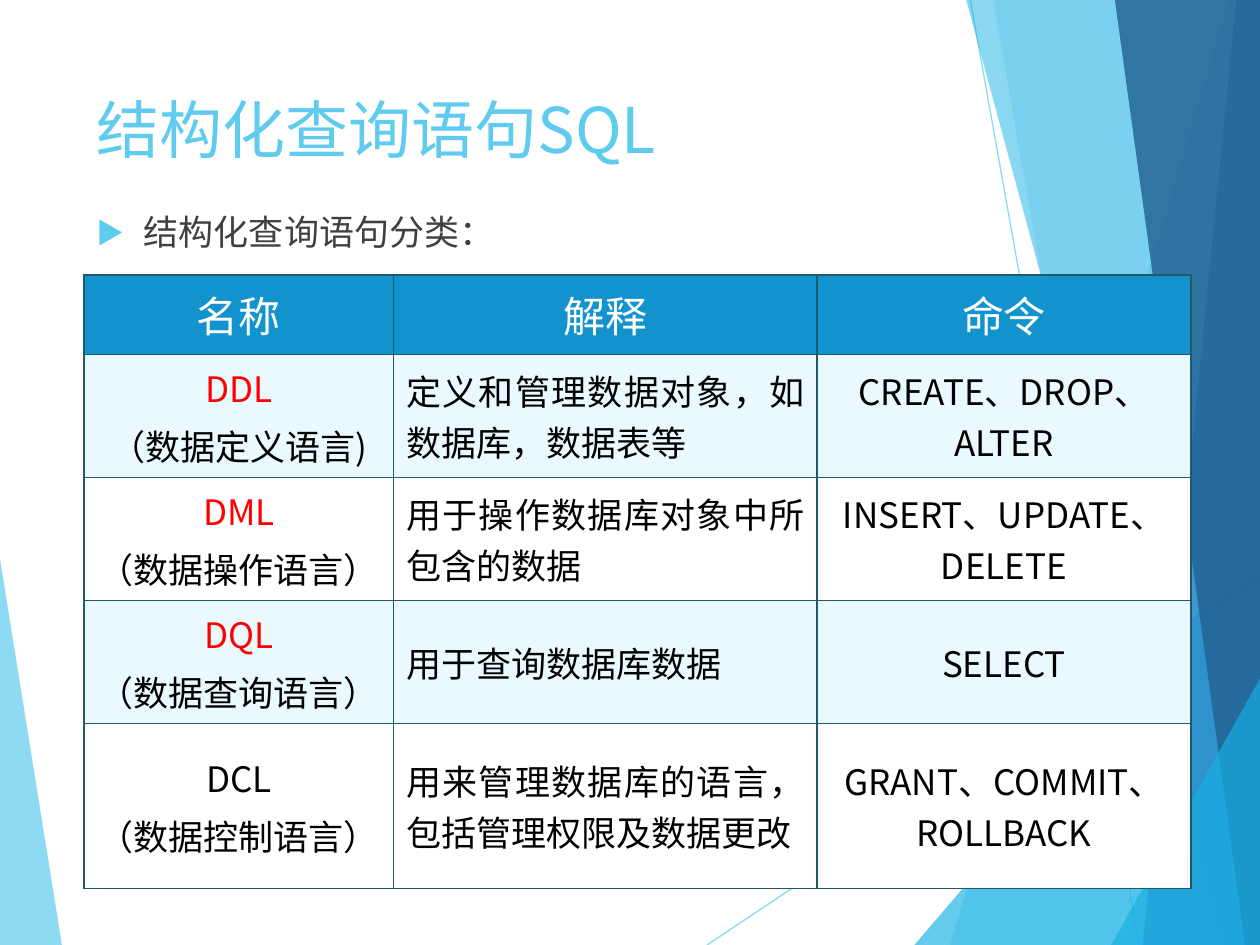
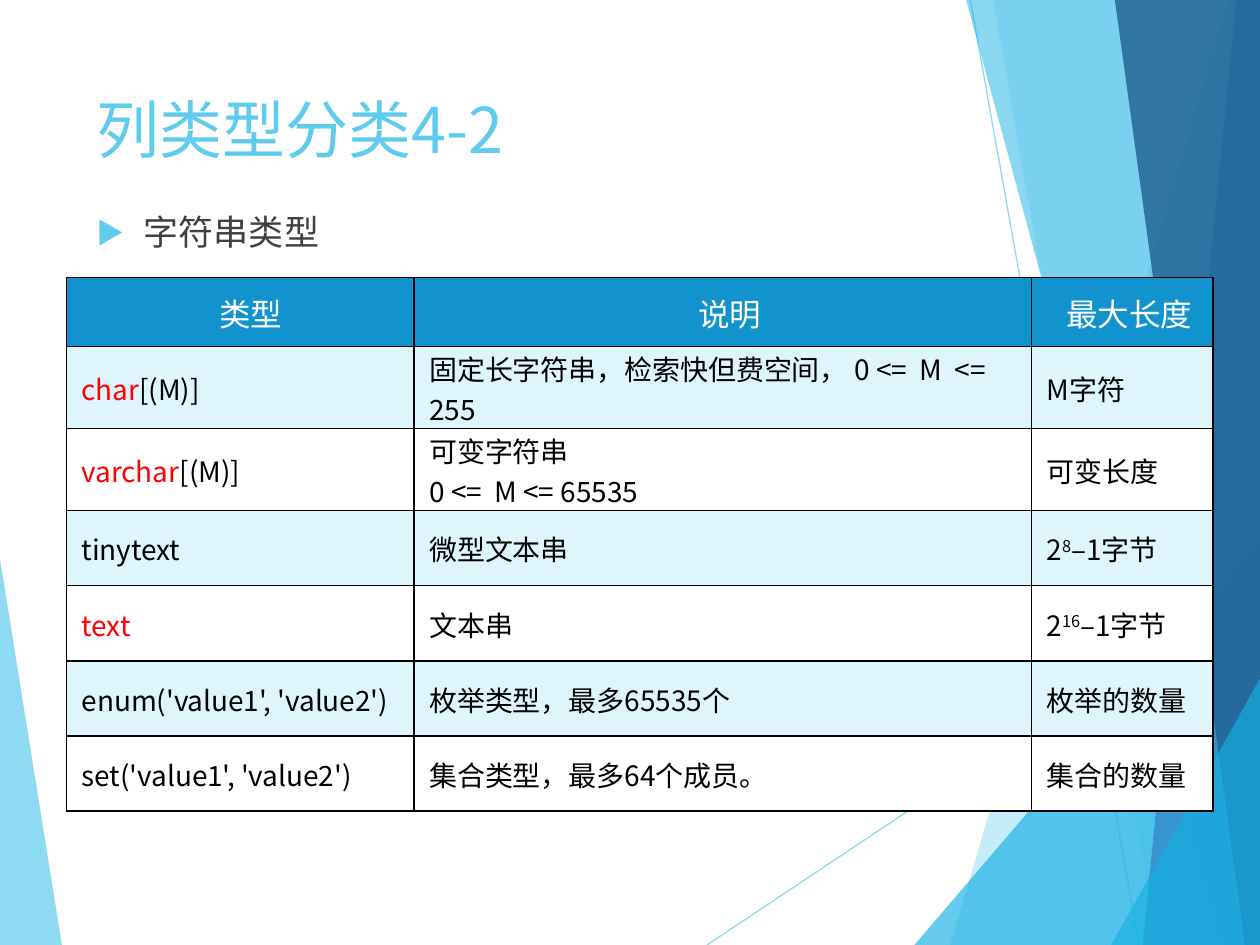
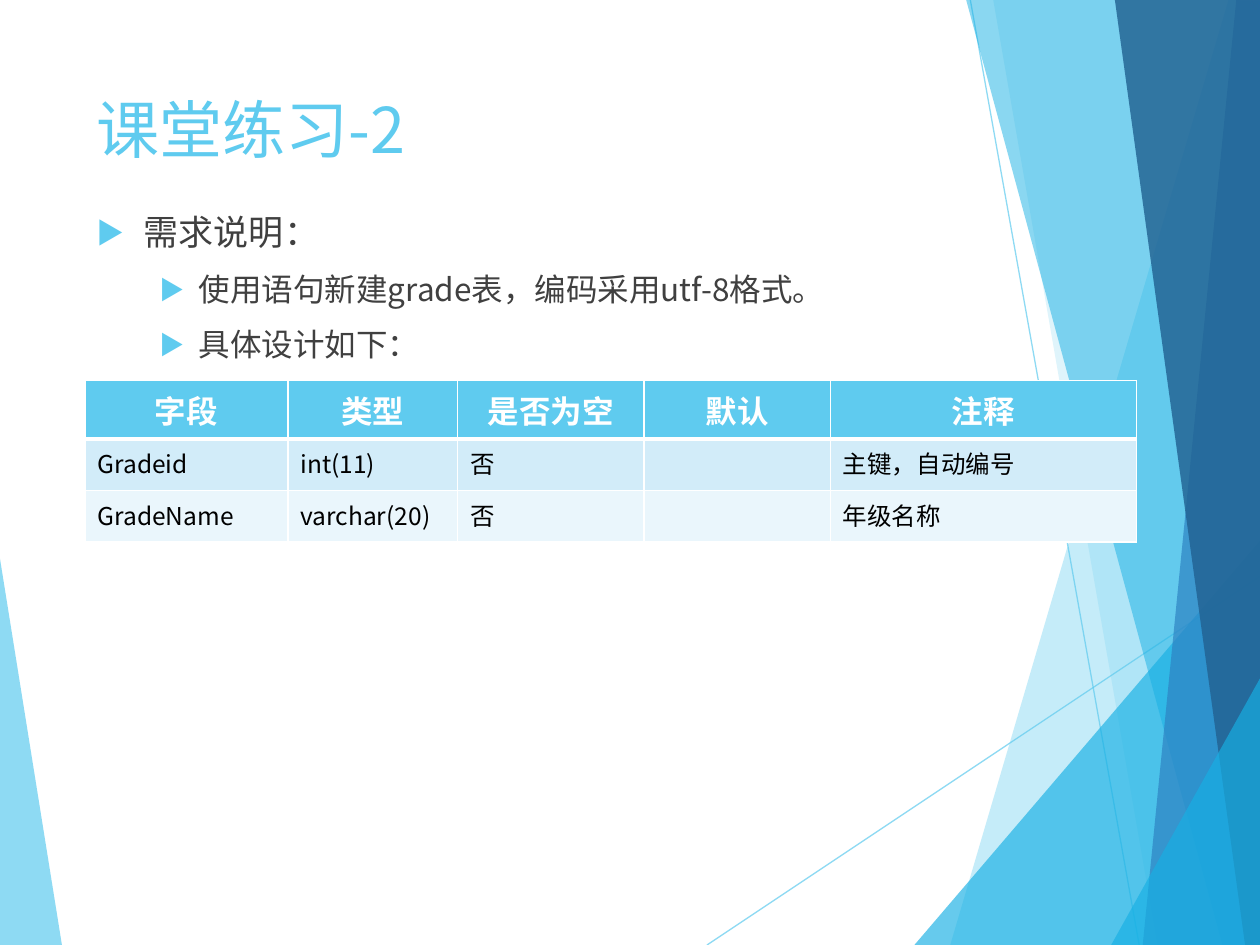
from dataclasses import dataclass

from lxml.etree import SubElement
from pptx import Presentation
from pptx.dml.color import RGBColor
from pptx.enum.shapes import MSO_CONNECTOR
from pptx.enum.text import MSO_ANCHOR, PP_ALIGN
from pptx.oxml.ns import qn
from pptx.util import Pt


@dataclass(frozen=True)
class Theme:
    font: str = "Noto Sans CJK SC"
    sky: str = "5FCBEF"
    cyan: str = "17B0E4"
    blue: str = "2E83C3"
    navy: str = "226292"
    header: str = "1293CD"
    teal: str = "215968"
    ink: str = "404040"
    black: str = "000000"
    white: str = "FFFFFF"
    red: str = "FF0000"
    title_size: int = 36
    list_sizes: tuple = (20, 18)


theme = Theme()


def write(paragraph, text, size, color, bold=False, align=PP_ALIGN.LEFT, before=0):
    """Fill a paragraph; *word* is red and ^word^ is superscript."""
    paragraph.alignment = align
    paragraph.space_before = Pt(before)
    for i, stretch in enumerate(text.split("*")):
        for j, piece in enumerate(stretch.split("^")):
            if not piece:
                continue
            run = paragraph.add_run()
            run.text = piece
            run.font.size = Pt(size)
            run.font.bold = bold
            run.font.name = theme.font
            run.font.color.rgb = RGBColor.from_string(theme.red if i % 2 else color)
            properties = run.font._element
            SubElement(properties, qn("a:ea"), typeface=theme.font)
            if j % 2:
                properties.set("baseline", "30000")


def draw_border(cell, sides, color, width):
    """Draw the named sides (L, R, T, B) of a table cell."""
    properties = cell._tc.get_or_add_tcPr()
    for side in sides:
        line = SubElement(properties, qn(f"a:ln{side}"), w=str(Pt(width)))
        fill = SubElement(line, qn("a:solidFill"))
        SubElement(fill, qn("a:srgbClr"), val=color)


# Content of the slides
LEFT, CENTER, JUSTIFY = PP_ALIGN.LEFT, PP_ALIGN.CENTER, PP_ALIGN.JUSTIFY
lessons = [
    dict(
        title="结构化查询语句SQL",
        points=[(0, "结构化查询语句分类：")],
        left=48, top=157, columns=[177, 242, 213.5], heights=[45.5] + [70.3] * 4,
        border=theme.teal, header_fill=theme.header, bands=["E9F9FD", theme.white],
        sizes=(24, 20), aligns=[CENTER, JUSTIFY, CENTER], before=0.2,
        margins=(7.2, 3.6, 7.2, 3.6), anchor=MSO_ANCHOR.MIDDLE,
        bold_header=False, header_rule=1,
        rows=[
            ["名称", "解释", "命令"],
            ["*DDL*\n（数据定义语言)", "定义和管理数据对象，如数据库，数据表等", "CREATE、DROP、ALTER"],
            ["*DML*\n（数据操作语言）", "用于操作数据库对象中所包含的数据", "INSERT、UPDATE、DELETE"],
            ["*DQL*\n（数据查询语言）", "用于查询数据库数据", "SELECT"],
            ["DCL\n（数据控制语言）", "用来管理数据库的语言，包括管理权限及数据更改",
             "GRANT、COMMIT、ROLLBACK"],
        ],
    ),
    dict(
        title="列类型分类4-2",
        points=[(0, "字符串类型")],
        left=38, top=158.5, columns=[198.7, 352.8, 103.7], heights=[39.5, 42.5] + [43] * 5,
        border=theme.black, header_fill=theme.header, bands=["DFF5FC", theme.white],
        sizes=(18, 16), aligns=[LEFT] * 3, before=0,
        margins=(8.64, 0.72, 0.72, 0), anchor=MSO_ANCHOR.MIDDLE,
        bold_header=False, header_rule=1,
        rows=[
            [" 类型", "说明", "最大长度"],
            ["*char*[(M)]", "固定长字符串，检索快但费空间， 0 <=  M  <=   255", "M字符"],
            ["*varchar*[(M)]", "可变字符串\n0 <=  M <= 65535", "可变长度"],
            ["tinytext", "微型文本串", "2^8^–1字节"],
            ["*text*", "文本串", "2^16^–1字节"],
            ["enum('value1', 'value2')", "枚举类型，最多65535个", "枚举的数量"],
            ["set('value1', 'value2')", "集合类型，最多64个成员。", "集合的数量"],
        ],
    ),
    dict(
        title="课堂练习-2",
        points=[
            (0, "需求说明："),
            (1, "使用语句新建grade表，编码采用utf-8格式。"),
            (1, "具体设计如下："),
        ],
        left=48.5, top=217.5, columns=[116, 97, 106.5, 106.5, 175], heights=[29.5] * 3,
        border=theme.white, header_fill=theme.sky, bands=["D2ECF9", "EAF6FC"],
        sizes=(18, 14), aligns=[LEFT] * 5, before=0,
        margins=(7.2, 3.6, 7.2, 3.6), anchor=MSO_ANCHOR.TOP,
        bold_header=True, header_rule=3,
        rows=[
            ["字段", "类型", "是否为空", "默认", "注释"],
            ["Gradeid", "int(11)", "否", "", "主键，自动编号"],
            ["GradeName", "varchar(20)", "否", "", "年级名称"],
        ],
    ),
]

# Facets behind every slide: corners, colour, opacity in percent; two corners make a line
facets = [
    ([(-0.5, 316), (35.5, 540.5), (-0.5, 540)], theme.sky, 70),
    ([(404, 540), (720.5, 329)], theme.sky, 70),
    ([(554.5, 0), (651, 540)], theme.sky, 70),
    ([(702, 0), (543, 540), (721, 540.5), (721, 0.5)], theme.sky, 36),
    ([(567.5, -0.5), (661.5, 540), (720.5, 540), (720.5, -0.5)], theme.sky, 20),
    ([(522.5, 540), (720, 309), (720.5, 540)], theme.cyan, 66),
    ([(552, -0.5), (698.5, 540), (720.5, 540), (720.5, -0.5)], theme.cyan, 50),
    ([(706.5, -0.5), (653, 540), (720.5, 540), (720, -0.5)], theme.blue, 70),
    ([(637, -0.5), (711.5, 540), (721, 540), (720, -0.5)], theme.navy, 82),
    ([(635, 540), (721.5, 385), (721.5, 540)], theme.cyan, 66),
]

presentation = Presentation()
presentation.slide_width, presentation.slide_height = Pt(720), Pt(540)

# Shared layout: title and list positions, no footers
layout = presentation.slide_layouts[1]
for placeholder in list(layout.placeholders):
    if placeholder.placeholder_format.idx > 1:
        placeholder.element.getparent().remove(placeholder.element)
for placeholder, top, height in zip(layout.placeholders, (48, 116.5), (51, 347)):
    placeholder.left, placeholder.top = Pt(48), Pt(top)
    placeholder.width, placeholder.height = Pt(607), Pt(height)

slides = [presentation.slides.add_slide(layout) for _ in lessons]

# Facets are drawn once and moved behind the layout's placeholders
for depth, (corners, color, opacity) in enumerate(facets, start=2):
    corners = [(Pt(x), Pt(y)) for x, y in corners]
    if len(corners) == 2:
        facet = slides[0].shapes.add_connector(
            MSO_CONNECTOR.STRAIGHT, *corners[0], *corners[1])
        facet.line.width = Pt(0.75)
        facet.line.color.rgb = RGBColor.from_string(color)
        SubElement(facet.element.spPr, qn("a:effectLst"))
    else:
        outline = slides[0].shapes.build_freeform(*corners[0])
        outline.add_line_segments(corners[1:], close=True)
        facet = outline.convert_to_shape()
        facet.fill.solid()
        facet.fill.fore_color.rgb = RGBColor.from_string(color)
        facet.line.fill.background()
        facet.shadow.inherit = False
    tint = next(facet.element.spPr.iter(qn("a:srgbClr")))
    SubElement(tint, qn("a:alpha"), val=str(opacity * 1000))
    layout.shapes.element.insert(depth, facet.element)

for slide, lesson in zip(slides, lessons):
    # Title
    write(slide.shapes.title.text_frame.paragraphs[0], lesson["title"],
          theme.title_size, theme.sky)

    # Bulleted list
    outline_text = slide.placeholders[1].text_frame
    for number, (level, point) in enumerate(lesson["points"]):
        paragraph = outline_text.add_paragraph() if number else outline_text.paragraphs[0]
        write(paragraph, point, theme.list_sizes[level], theme.ink, before=10)
        paragraph.level = level
        margin, hanging = [(27, 27), (58.5, 22.5)][level]
        bullet = paragraph._p.get_or_add_pPr()
        bullet.set("marL", str(Pt(margin)))
        bullet.set("indent", str(-Pt(hanging)))
        SubElement(SubElement(bullet, qn("a:buClr")), qn("a:srgbClr"), val=theme.sky)
        SubElement(bullet, qn("a:buSzPct"), val="80000")
        SubElement(bullet, qn("a:buFont"), typeface=theme.font)
        SubElement(bullet, qn("a:buChar"), char="▶")

    # Table
    columns, heights = lesson["columns"], lesson["heights"]
    grid = slide.shapes.add_table(
        len(heights), len(columns), Pt(lesson["left"]), Pt(lesson["top"]),
        Pt(sum(columns)), Pt(sum(heights))).table
    grid.first_row = grid.horz_banding = False
    for column, width in zip(grid.columns, columns):
        column.width = Pt(width)
    for r, texts in enumerate(lesson["rows"]):
        grid.rows[r].height = Pt(heights[r])
        is_header = r == 0
        size = lesson["sizes"][0 if is_header else 1]
        fill = lesson["header_fill"] if is_header else lesson["bands"][(r - 1) % 2]
        for c, text in enumerate(texts):
            cell = grid.cell(r, c)
            draw_border(cell, "LR", lesson["border"], 1)
            draw_border(cell, "T", lesson["border"], lesson["header_rule"] if r == 1 else 1)
            draw_border(cell, "B", lesson["border"], lesson["header_rule"] if is_header else 1)
            cell.fill.solid()
            cell.fill.fore_color.rgb = RGBColor.from_string(fill)
            cell.vertical_anchor = lesson["anchor"]
            (cell.margin_left, cell.margin_top,
             cell.margin_right, cell.margin_bottom) = map(Pt, lesson["margins"])
            for number, line in enumerate(text.split("\n")):
                frame = cell.text_frame
                paragraph = frame.add_paragraph() if number else frame.paragraphs[0]
                write(paragraph, line, size, theme.white if is_header else theme.black,
                      bold=is_header and lesson["bold_header"],
                      align=CENTER if is_header else lesson["aligns"][c],
                      before=size * lesson["before"])

presentation.save("out.pptx")
